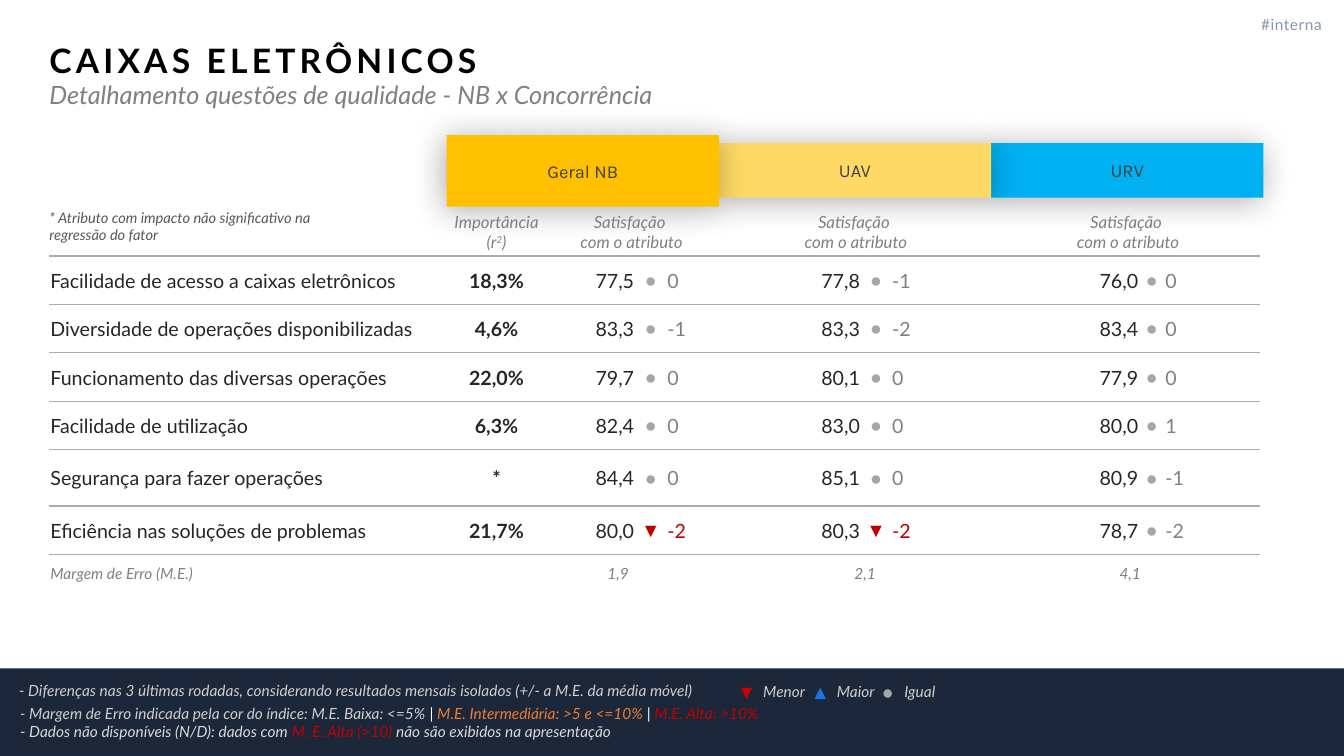
import pptx
import pptx.util
import pptx.dml.color
import pptx.enum.shapes
import pptx.enum.text
import pptx.oxml
import pptx.oxml.ns

Inches = pptx.util.Inches
RGB = pptx.dml.color.RGBColor.from_string
ALIGN = pptx.enum.text.PP_ALIGN
ANCHOR = pptx.enum.text.MSO_ANCHOR
RECT = pptx.enum.shapes.MSO_SHAPE.RECTANGLE
NS = pptx.oxml.ns.nsdecls("a")


class Theme:
    font, header_font, symbol_font = "Lato", "Karla", "Arial"
    title, subtitle, header, body, column, small, note = 24, 18, 13, 14, 12, 11, 10.5
    black, white, dark, text = "000000", "FFFFFF", "404040", "262626"
    gray, dot, line, note_gray, tag = "808080", "A6A6A6", "AFABAB", "595959", "8497B0"
    gold, yellow, blue = "FFC000", "FFD966", "00B0F0"
    navy, pale, light, orange = "1C273A", "D0CECE", "D9D9D9", "ED7D31"
    red, menor, maior = "C00000", "C80000", "1476E1"


def put(tf, text, size, color, font=Theme.font, align=ALIGN.LEFT, bold=False,
        italic=False, anchor=ANCHOR.TOP, ins=(0, 0, 0, 0), wrap=True):
    """Write a string, or a list of (string, colour) runs, as one paragraph."""
    tf.word_wrap = wrap
    tf.vertical_anchor = anchor
    tf.margin_left, tf.margin_top, tf.margin_right, tf.margin_bottom = map(Inches, ins)
    p = tf.paragraphs[0]
    p.alignment = align
    f = p.font
    f.name, f.size, f.bold, f.italic = font, pptx.util.Pt(size), bold, italic
    f.color.rgb = RGB(color)
    for piece, tint in [(text, color)] if isinstance(text, str) else text:
        for i, part in enumerate(piece.split("\n")):
            if i:
                p.add_line_break()
            if part:
                r = p.add_run()
                r.text = part
                if tint != color:
                    r.font.color.rgb = RGB(tint)
    return p


def add_grid(s, left, top, widths, heights):
    """Add a table without fills or grid lines."""
    frame = s.shapes.add_table(len(heights), len(widths), Inches(left), Inches(top),
                               Inches(sum(widths)), Inches(sum(heights)))
    table = frame.table
    table.first_row = table.horz_banding = False
    style = table._tbl.tblPr.find(pptx.oxml.ns.qn("a:tableStyleId"))
    style.text = "{2D5ABB26-0587-4C30-8999-92F81FD0307C}"
    for col, width in zip(table.columns, widths):
        col.width = Inches(width)
    for row, height in zip(table.rows, heights):
        row.height = Inches(height)
        for cell in row.cells:
            cell.fill.background()
            cell.vertical_anchor = ANCHOR.MIDDLE
            cell.margin_left = cell.margin_top = cell.margin_right = Inches(0.01)
            cell.margin_bottom = 0
    return table


CELL = dict(anchor=ANCHOR.MIDDLE, ins=(0.01, 0.01, 0.01, 0))

prs = pptx.Presentation()
prs.slide_width, prs.slide_height = Inches(13.33), Inches(7.5)
s = prs.slides.add_slide(prs.slide_layouts[5])

# Title, subtitle and classification tag
title = s.shapes.title
title.left, title.top, title.width, title.height = map(Inches, (0.49, 0.39, 12.32, 0.46))
p = put(title.text_frame, "CAIXAS ELETRÔNICOS", Theme.title, Theme.black, bold=True,
        anchor=ANCHOR.MIDDLE, ins=(0, 0.05, 0.1, 0.05))
p.line_spacing = 0.9
p.runs[0]._r.get_or_add_rPr().set("spc", "300")

tb = s.shapes.add_textbox(*map(Inches, (0.49, 0.77, 12.34, 0.42)))
p = put(tb.text_frame, "Detalhamento questões de qualidade - NB x Concorrência",
        Theme.subtitle, Theme.gray, italic=True, ins=(0, 0.05, 0, 0.05))
p.line_spacing = 0.9

tb = s.shapes.add_textbox(*map(Inches, (12.17, 0.08, 0.94, 0.29)))
p = put(tb.text_frame, "#interna", Theme.small, Theme.tag, align=ALIGN.RIGHT,
        ins=(0, 0.05, 0, 0.05))
p.line_spacing = 1.1
p.runs[0]._r.get_or_add_rPr().set("spc", "40")

# Segment banners, the first one raised above the others
for label, left, top, height, color in [("URV", 9.83, 1.42, 0.54, Theme.blue),
                                        ("UAV", 7.13, 1.42, 0.54, Theme.yellow),
                                        ("Geral NB", 4.43, 1.34, 0.71, Theme.gold)]:
    sp = s.shapes.add_shape(RECT, *map(Inches, (left, top, 2.7, height)))
    sp.fill.solid()
    sp.fill.fore_color.rgb = RGB(color)
    sp.line.fill.background()
    sp._element.spPr.append(pptx.oxml.parse_xml(
        f'<a:effectLst {NS}><a:outerShdw blurRad="304800" dist="38100" dir="7560000" '
        f'algn="ctr" rotWithShape="0"><a:srgbClr val="{Theme.black}">'
        '<a:alpha val="32000"/></a:srgbClr></a:outerShdw></a:effectLst>'))
    put(sp.text_frame, label, Theme.header, Theme.dark, Theme.header_font,
        ALIGN.CENTER, anchor=ANCHOR.MIDDLE)

# Attribute table: importance, then score and change per segment
attributes = [
    ("Facilidade de acesso a caixas eletrônicos", "18,3%",
     [("77,5", "0"), ("77,8", "-1"), ("76,0", "0")]),
    ("Diversidade de operações disponibilizadas", "4,6%",
     [("83,3", "-1"), ("83,3", "-2"), ("83,4", "0")]),
    ("Funcionamento das diversas operações", "22,0%",
     [("79,7", "0"), ("80,1", "0"), ("77,9", "0")]),
    ("Facilidade de utilização", "6,3%",
     [("82,4", "0"), ("83,0", "0"), ("80,0", "1")]),
    ("Segurança para fazer operações", "*",
     [("84,4", "0"), ("85,1", "0"), ("80,9", "-1")]),
    ("Eficiência nas soluções de problemas", "21,7%",
     [("80,0", "-2"), ("80,3", "-2"), ("78,7", "-2")]),
]
falls = {(6, 0), (6, 1)}  # (row, segment) pairs below the margin of error

table = add_grid(s, 0.49, 2.06,
                 [3.93, 1.01, 0.87, 0.31, 0.49, 1.44, 0.3, 1.04, 1.42, 0.25, 0.95],
                 [0.48] * 5 + [0.56, 0.48])
for cell in table.iter_cells():
    cell._tc.get_or_add_tcPr().insert(0, pptx.oxml.parse_xml(
        f'<a:lnB {NS} w="12700"><a:solidFill><a:srgbClr val="{Theme.line}"/>'
        '</a:solidFill></a:lnB>'))

p = put(table.cell(0, 1).text_frame,
        [("Importância (r", Theme.gray), ("2", Theme.gray), (")", Theme.gray)],
        Theme.column, Theme.gray, align=ALIGN.CENTER, italic=True, **CELL)
p.runs[1]._r.get_or_add_rPr().set("baseline", "30000")
for col in (2, 5, 8):
    table.cell(0, col).merge(table.cell(0, col + 2))
    put(table.cell(0, col).text_frame, "Satisfação \ncom o atributo", Theme.column,
        Theme.gray, align=ALIGN.CENTER, italic=True, **CELL)

for row, (name, importance, scores) in enumerate(attributes, 1):
    put(table.cell(row, 0).text_frame, name, Theme.body, Theme.text, **CELL)
    put(table.cell(row, 1).text_frame, importance, Theme.body, Theme.text,
        align=ALIGN.CENTER, bold=True, **CELL)
    for segment, (score, change) in enumerate(scores):
        col = 2 + 3 * segment
        symbol, symbol_color, change_color = (
            ("▼", Theme.red, Theme.red) if (row, segment) in falls
            else ("●", Theme.dot, Theme.gray))
        put(table.cell(row, col).text_frame, score, Theme.body, Theme.text,
            align=ALIGN.RIGHT, **CELL)
        put(table.cell(row, col + 1).text_frame, symbol, Theme.body, symbol_color,
            Theme.symbol_font, ALIGN.CENTER, **CELL)
        put(table.cell(row, col + 2).text_frame, change, Theme.body, change_color, **CELL)

# Margin of error table
margins = add_grid(s, 0.49, 5.56, [4.51, 2.26, 2.64, 2.62], [0.25])
for col, text in enumerate(["Margem de Erro (M.E.)", "1,9", "2,1", "4,1"]):
    put(margins.cell(0, col).text_frame, text, Theme.small, Theme.gray,
        align=ALIGN.CENTER if col else ALIGN.LEFT, italic=True, **CELL)

# Footnote beside the column headings
tb = s.shapes.add_textbox(*map(Inches, (0.49, 2.07, 2.63, 0.42)))
put(tb.text_frame, "* Atributo com impacto não significativo na regressão do fator",
    Theme.note, Theme.note_gray, italic=True)

# Footer band with notes
band = s.shapes.add_shape(RECT, 0, Inches(6.63), prs.slide_width, Inches(0.87))
band.shadow.inherit = False
band.fill.solid()
band.fill.fore_color.rgb = RGB(Theme.navy)
band.line.fill.background()

tb = s.shapes.add_textbox(*map(Inches, (0.19, 6.76, 7.35, 0.25)))
put(tb.text_frame, "- Diferenças nas 3 últimas rodadas, considerando resultados mensais "
    "isolados (+/- a M.E. da média móvel)", Theme.small, Theme.pale, italic=True)

tb = s.shapes.add_textbox(*map(Inches, (0.2, 7, 9.09, 0.33)))
put(tb.text_frame, [
    ("- Margem de Erro indicada pela cor do índice: M.E. Baixa: <=5% ", Theme.pale),
    ("| ", Theme.white), ("M.E. Intermediária: >5 e <=10% ", Theme.orange),
    ("| ", Theme.white), ("M.E. Alta: >10%\n", Theme.red),
    ("- Dados não disponíveis (N/D): dados com ", Theme.light),
    ("M. E. Alta (>10) ", Theme.red),
    ("não são exibidos na apresentação", Theme.light),
], Theme.small, Theme.pale, italic=True, anchor=ANCHOR.MIDDLE)

# Legend
for symbol, color, label, left in [("▼", Theme.menor, "Menor", 7.51),
                                   ("▲", Theme.maior, "Maior", 8.24),
                                   ("●", Theme.dot, "Igual", 8.91)]:
    tb = s.shapes.add_textbox(*map(Inches, (left - 0.3, 6.7, 0.39, 0.34)))
    put(tb.text_frame, symbol, Theme.body, color, Theme.symbol_font, ALIGN.CENTER,
        bold=True, ins=(0.1, 0.05, 0.1, 0.05), wrap=False)
    tb = s.shapes.add_textbox(*map(Inches, (left, 6.71, 0.55, 0.3)))
    put(tb.text_frame, label, Theme.small, Theme.pale, italic=True,
        anchor=ANCHOR.MIDDLE, ins=(0.06, 0.03, 0.06, 0.03), wrap=False)

prs.save("out.pptx")
